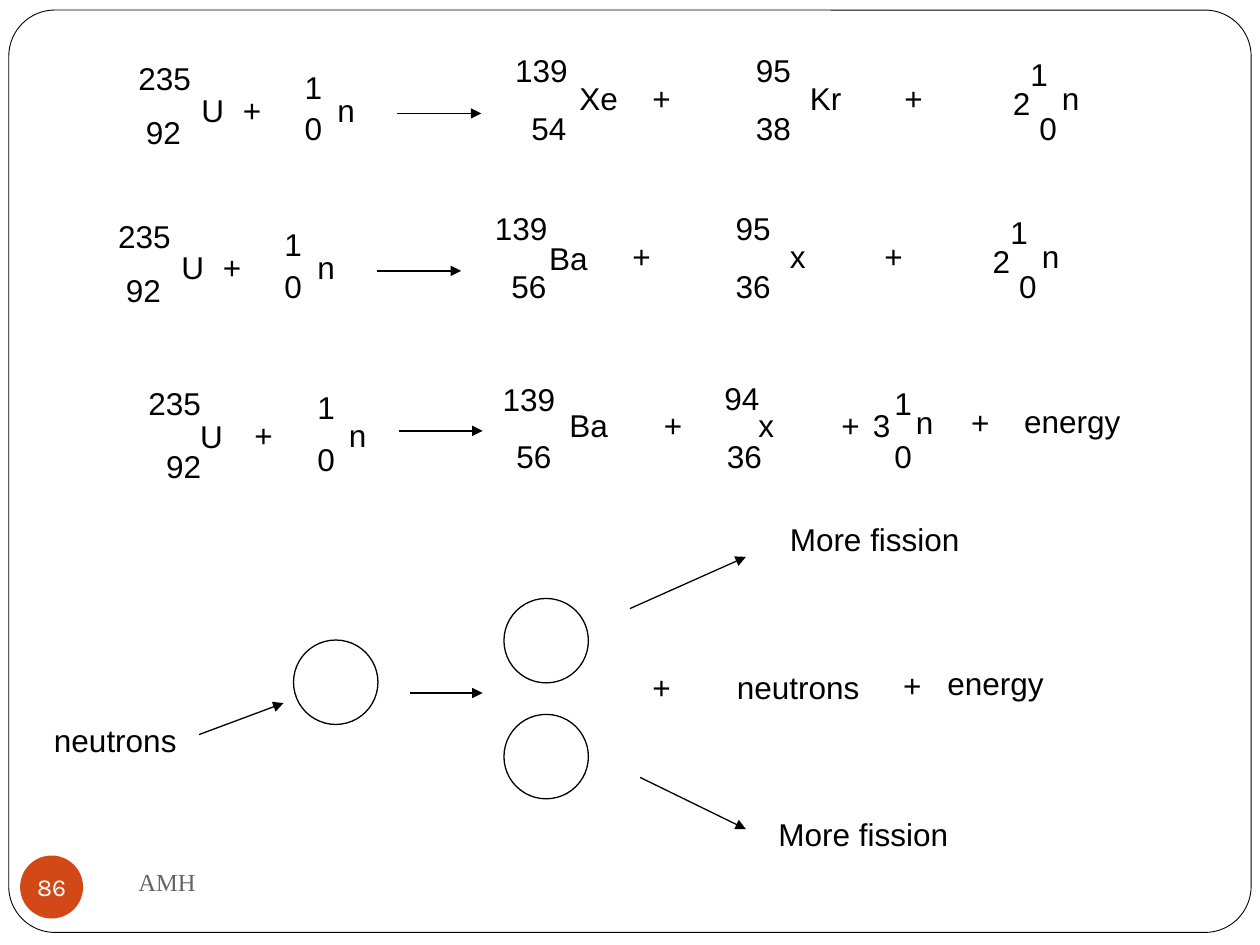
from dataclasses import dataclass

import pptx
import pptx.dml.color
import pptx.enum.shapes
import pptx.enum.text
import pptx.oxml
import pptx.oxml.ns
import pptx.util
from pptx.util import Inches

COLORS = {
    "ink": "000000",
    "paper": "FFFFFF",
    "footer": "696464",
    "badge": "D34817",
}
SHAPES = pptx.enum.shapes.MSO_SHAPE
ANCHORS = pptx.enum.text.MSO_ANCHOR
ALIGNMENTS = pptx.enum.text.PP_ALIGN
LABEL_HEIGHT = 0.4
CIRCLE_SIZE = 0.67


@dataclass(frozen=True)
class Label:
    text: str
    left: float
    top: float
    width: float = 0.58


@dataclass(frozen=True)
class Arrow:
    start: tuple[float, float]
    end: tuple[float, float]


def rgb(name: str) -> pptx.dml.color.RGBColor:
    return pptx.dml.color.RGBColor.from_string(COLORS[name])


def write_text(box, text: str, *, font="Arial", size=18, color="ink",
               anchor=ANCHORS.TOP, align=None, wrap=True) -> None:
    frame = box.text_frame
    frame.word_wrap = wrap
    frame.vertical_anchor = anchor
    para = frame.paragraphs[0]
    para.alignment = align
    span = para.add_run()
    span.text = text
    span.font.name = font
    span.font.size = pptx.util.Pt(size)
    span.font.color.rgb = rgb(color)


def add_label(page, label: Label, dx: float = 0, dy: float = 0) -> None:
    box = page.shapes.add_textbox(
        Inches(label.left + dx), Inches(label.top + dy),
        Inches(label.width), Inches(LABEL_HEIGHT))
    write_text(box, label.text)
    box.text_frame.auto_size = pptx.enum.text.MSO_AUTO_SIZE.SHAPE_TO_FIT_TEXT


def add_arrow(page, arrow: Arrow, dx: float = 0, dy: float = 0) -> None:
    (x1, y1), (x2, y2) = arrow.start, arrow.end
    line = page.shapes.add_connector(
        pptx.enum.shapes.MSO_CONNECTOR.STRAIGHT,
        Inches(x1 + dx), Inches(y1 + dy), Inches(x2 + dx), Inches(y2 + dy))
    line.line.color.rgb = rgb("ink")
    line.line.width = pptx.util.Pt(0.75)
    head = pptx.oxml.parse_xml(
        f'<a:tailEnd {pptx.oxml.ns.nsdecls("a")} type="triangle"/>')
    line.line._get_or_add_ln().append(head)
    line._element.spPr.append(
        pptx.oxml.parse_xml(f'<a:effectLst {pptx.oxml.ns.nsdecls("a")}/>'))


def add_outline(page, kind, left: float, top: float, width: float, height: float,
                *, fill=None, line="ink", weight=0.75):
    """Add a preset shape; a fill or line of None is left empty."""
    shape = page.shapes.add_shape(
        kind, Inches(left), Inches(top), Inches(width), Inches(height))
    shape.shadow.inherit = False
    if fill:
        shape.fill.solid()
        shape.fill.fore_color.rgb = rgb(fill)
    else:
        shape.fill.background()
    if line:
        shape.line.color.rgb = rgb(line)
        shape.line.width = pptx.util.Pt(weight)
    else:
        shape.line.fill.background()
    return shape


# The first two equations share these parts; the second is shifted as a whole.
SHARED_LABELS = [
    Label("235", 1, 0.42, 0.67), Label("92", 1.06, 0.85, 0.5),
    Label("U", 1.5, 0.67, 0.42), Label("+", 1.83, 0.67, 0.42),
    Label("1", 2.32, 0.49, 0.33), Label("0", 2.32, 0.82, 0.33),
    Label("n", 2.58, 0.67, 0.42),
    Label("139", 3.99, 0.36, 0.67), Label("+", 5.08, 0.58),
    Label("95", 5.9, 0.36, 0.5), Label("+", 7.08, 0.58),
    Label("2", 7.94, 0.62), Label("1", 8.08, 0.39, 0.5),
    Label("0", 8.15, 0.82, 0.33), Label("n", 8.33, 0.58),
]
SHARED_ARROW = Arrow((3.15, 0.9), (3.82, 0.9))
XENON_LABELS = [
    Label("54", 4.12, 0.82, 0.5), Label("Xe", 4.5, 0.58),
    Label("38", 5.9, 0.82, 0.5), Label("Kr", 6.33, 0.58),
]
BARIUM_LABELS = [
    Label("56", 4.12, 0.82, 0.5), Label("Ba", 4.42, 0.6),
    Label("36", 5.9, 0.82, 0.5), Label("x", 6.33, 0.58),
]
EQUATIONS = [(XENON_LABELS, 0, 0), (BARIUM_LABELS, -0.16, 1.25)]

ENERGY_EQUATION = [
    Label("235", 1.08, 3, 0.75), Label("92", 1.22, 3.5, 0.56),
    Label("U", 1.49, 3.26, 0.5), Label("+", 1.92, 3.25, 0.42),
    Label("1", 2.42, 3.03, 0.42), Label("0", 2.42, 3.44, 0.42),
    Label("n", 2.67, 3.25, 0.42),
    Label("139", 3.89, 2.97, 0.67), Label("56", 4, 3.42, 0.5),
    Label("Ba", 4.42, 3.17), Label("+", 5.17, 3.17),
    Label("94", 5.65, 2.96, 0.5), Label("36", 5.67, 3.42, 0.5),
    Label("x", 5.92, 3.17), Label("+", 6.58, 3.17),
    Label("3", 6.83, 3.17), Label("1", 7, 3), Label("0", 7, 3.42),
    Label("n", 7.17, 3.15), Label("+", 7.61, 3.15),
    Label("energy", 8.03, 3.14, 1.33),
]
CHAIN_LABELS = [
    Label("neutrons", 0.33, 5.67, 1.75),
    Label("+", 5.08, 5.25), Label("neutrons", 5.75, 5.25, 1.33),
    Label("+", 7.07, 5.24), Label("energy", 7.42, 5.22, 1.33),
    Label("More fission", 6.17, 4.08, 1.75),
    Label("More fission", 6.08, 6.42, 1.75),
]
ARROWS = [
    Arrow((3.17, 3.42), (3.83, 3.42)),
    Arrow((1.58, 5.83), (2.25, 5.58)),
    Arrow((3.25, 5.5), (3.83, 5.5)),
    Arrow((5, 4.83), (5.92, 4.42)),
    Arrow((5.08, 6.17), (5.92, 6.58)),
]
NUCLEI = [(2.33, 5.08), (4, 4.75), (4, 5.67)]


def add_footer(page) -> None:
    footer = page.shapes.add_textbox(
        Inches(1), Inches(6.75), Inches(4.33), Inches(0.5))
    write_text(footer, "AMH", font="Times New Roman", size=14,
               color="footer", anchor=ANCHORS.MIDDLE)
    badge = add_outline(page, SHAPES.OVAL, 0.16, 6.79, 0.5, 0.5,
                        fill="badge", line=None)
    frame = badge.text_frame
    frame.margin_left = frame.margin_right = 0
    frame.margin_top = frame.margin_bottom = 0
    write_text(badge, "86", font="Karla", size=14, color="paper",
               anchor=ANCHORS.MIDDLE, align=ALIGNMENTS.CENTER, wrap=False)


def main() -> None:
    deck = pptx.Presentation()
    deck.slide_width, deck.slide_height = Inches(10), Inches(7.5)
    page = deck.slides.add_slide(deck.slide_layouts[6])

    border = add_outline(page, SHAPES.ROUNDED_RECTANGLE, 0.07, 0.08, 9.86, 7.32,
                         fill="paper", weight=0.5)
    border.adjustments[0] = 0.05

    for products, dx, dy in EQUATIONS:
        for label in SHARED_LABELS + products:
            add_label(page, label, dx, dy)
        add_arrow(page, SHARED_ARROW, dx, dy)
    for label in ENERGY_EQUATION + CHAIN_LABELS:
        add_label(page, label)
    for left, top in NUCLEI:
        add_outline(page, SHAPES.OVAL, left, top, CIRCLE_SIZE, CIRCLE_SIZE)
    for arrow in ARROWS:
        add_arrow(page, arrow)
    add_footer(page)

    deck.save("out.pptx")


if __name__ == "__main__":
    main()
